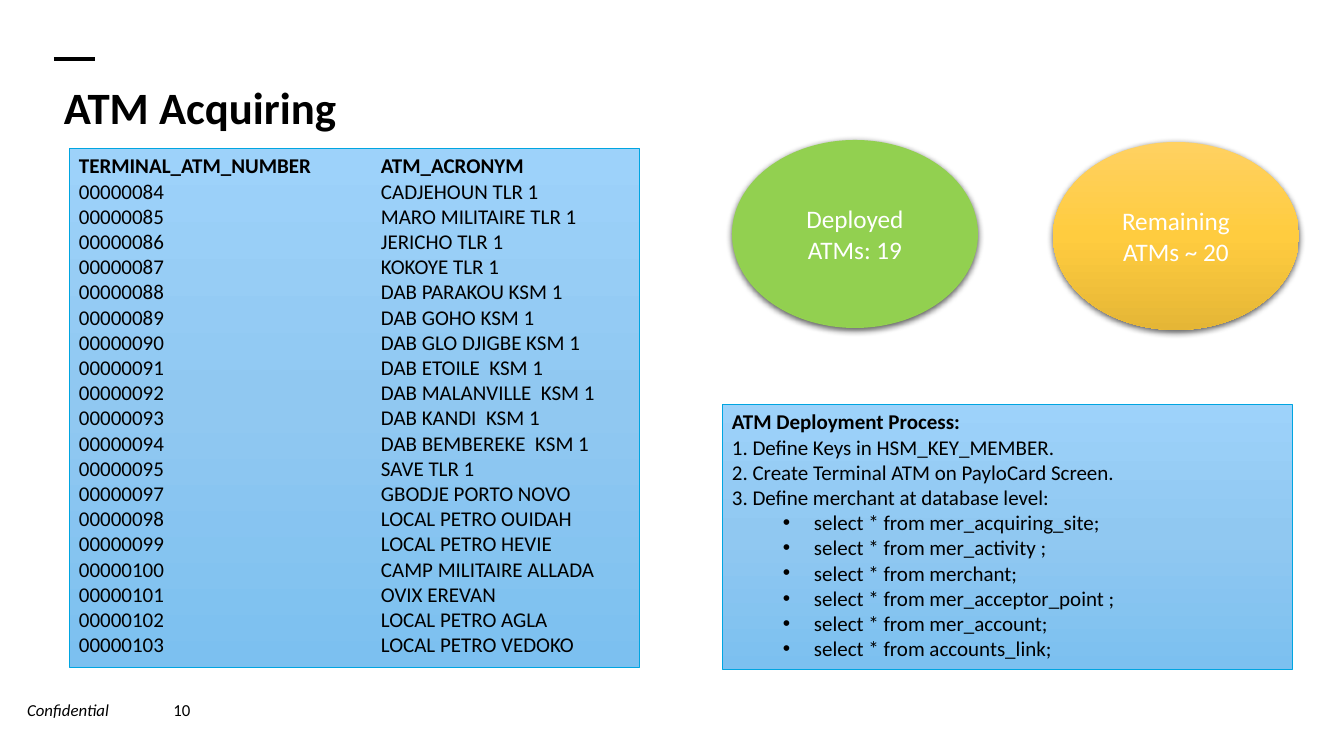
import copy

import lxml.etree
import pptx
import pptx.dml.color
import pptx.enum.shapes
import pptx.enum.text
import pptx.oxml
import pptx.oxml.ns
import pptx.util

RGBColor = pptx.dml.color.RGBColor
Shape = pptx.enum.shapes.MSO_SHAPE
Align = pptx.enum.text.PP_ALIGN
Anchor = pptx.enum.text.MSO_ANCHOR
qn = pptx.oxml.ns.qn

TITLE = "ATM Acquiring"
TERMINAL_HEADER = ("TERMINAL_ATM_NUMBER", "ATM_ACRONYM")
TERMINALS = [
    ("00000084", "CADJEHOUN TLR 1"),
    ("00000085", "MARO MILITAIRE TLR 1"),
    ("00000086", "JERICHO TLR 1"),
    ("00000087", "KOKOYE TLR 1"),
    ("00000088", "DAB PARAKOU KSM 1"),
    ("00000089", "DAB GOHO KSM 1"),
    ("00000090", "DAB GLO DJIGBE KSM 1"),
    ("00000091", "DAB ETOILE  KSM 1"),
    ("00000092", "DAB MALANVILLE  KSM 1"),
    ("00000093", "DAB KANDI  KSM 1"),
    ("00000094", "DAB BEMBEREKE  KSM 1"),
    ("00000095", "SAVE TLR 1"),
    ("00000097", "GBODJE PORTO NOVO"),
    ("00000098", "LOCAL PETRO OUIDAH"),
    ("00000099", "LOCAL PETRO HEVIE"),
    ("00000100", "CAMP MILITAIRE ALLADA"),
    ("00000101", "OVIX EREVAN"),
    ("00000102", "LOCAL PETRO AGLA"),
    ("00000103", "LOCAL PETRO VEDOKO"),
]
PROCESS_HEADER = "ATM Deployment Process:"
PROCESS_STEPS = [
    "1. Define Keys in HSM_KEY_MEMBER.",
    "2. Create Terminal ATM on PayloCard Screen.",
    "3. Define merchant at database level:",
]
QUERIES = [
    "select * from mer_acquiring_site;",
    "select * from mer_activity ;",
    "select * from merchant;",
    "select * from mer_acceptor_point ;",
    "select * from mer_account;",
    "select * from accounts_link;",
]

FONT = "Calibri"
BLACK = RGBColor(0x00, 0x00, 0x00)
WHITE = RGBColor(0xFF, 0xFF, 0xFF)
GREEN = RGBColor(0x92, 0xD0, 0x50)
PANEL_LINE = RGBColor(0x00, 0xA5, 0xE1)
BLUES = [RGBColor(0x9D, 0xD2, 0xFA), RGBColor(0x90, 0xC8, 0xF1), RGBColor(0x7C, 0xC0, 0xF0)]
GOLDS = [RGBColor(0xFF, 0xD1, 0x61), RGBColor(0xFF, 0xCC, 0x3F), RGBColor(0xE5, 0xB6, 0x36)]

# Boxes in px: left, top, width, height
TITLE_BOX = (54, 81, 1237, 67)
TERMINAL_BOX = (69, 148, 570, 519)
PROCESS_BOX = (722, 404, 570, 265)
FOOTERS = [("Confidential", (0, 690, 136, 40), True), ("10", (136, 690, 92, 40), False)]
COUNTERS = [
    ("Deployed ATMs: 19", (732, 140, 246, 188), [GREEN]),
    ("Remaining ATMs ~ 20", (1053, 142, 246, 188), GOLDS),
]
ACRONYM_TAB = 302
BULLET_MARGIN, BULLET_HANG = 82, 31

SHADOW = (
    '<a:effectLst xmlns:a="http://schemas.openxmlformats.org/drawingml/2006/main">'
    '<a:outerShdw blurRad="57150" dist="19050" dir="5400000" algn="ctr" rotWithShape="0">'
    '<a:srgbClr val="000000"><a:alpha val="63000"/></a:srgbClr>'
    "</a:outerShdw></a:effectLst>"
)


def px(length):
    return pptx.util.Emu(round(length * 914400 / 100.8))


def add_text(frame, text, size, color=BLACK, bold=False, italic=False, align=Align.LEFT):
    """Write text in the frame's empty first paragraph, or in a new one after it."""
    first = frame.paragraphs[0]
    paragraph = frame.add_paragraph() if first.runs else first
    paragraph.alignment = align
    run = paragraph.add_run()
    run.text = text
    font = run.font
    font.name, font.size = FONT, pptx.util.Pt(size)
    font.bold, font.italic, font.color.rgb = bold, italic, color
    return paragraph


def add_frame(slide, box, anchor):
    frame = slide.shapes.add_textbox(*map(px, box)).text_frame
    frame.word_wrap = True
    frame.vertical_anchor = anchor
    return frame


def paint(shape, colors):
    """Fill with one colour, or with a vertical gradient of evenly spaced colours."""
    fill = shape.fill
    if len(colors) == 1:
        fill.solid()
        fill.fore_color.rgb = colors[0]
        return
    fill.gradient()
    fill.gradient_angle = 270
    stop_list = next(shape.element.iter(qn("a:gsLst")))
    while len(stop_list) < len(colors):
        stop_list.append(copy.deepcopy(stop_list[0]))
    for index, (stop, color) in enumerate(zip(fill.gradient_stops, colors)):
        stop.color.rgb = color
        stop.position = index / (len(colors) - 1)


def add_panel(slide, box):
    panel = slide.shapes.add_shape(Shape.RECTANGLE, *map(px, box))
    panel.shadow.inherit = False
    paint(panel, BLUES)
    panel.line.color.rgb = PANEL_LINE
    panel.line.width = pptx.util.Pt(0.5)
    frame = panel.text_frame
    frame.word_wrap = True
    frame.vertical_anchor = Anchor.TOP
    return frame


def add_counter(slide, text, box, colors):
    ellipse = slide.shapes.add_shape(Shape.OVAL, *map(px, box))
    paint(ellipse, colors)
    ellipse.line.fill.background()
    ellipse.element.spPr.append(pptx.oxml.parse_xml(SHADOW))
    ellipse.text_frame.word_wrap = True
    ellipse.text_frame.vertical_anchor = Anchor.MIDDLE
    add_text(ellipse.text_frame, text, 18, WHITE, align=Align.CENTER)


def set_tab(paragraph, position):
    tabs = lxml.etree.SubElement(paragraph._p.get_or_add_pPr(), qn("a:tabLst"))
    lxml.etree.SubElement(tabs, qn("a:tab"), pos=str(px(position)), algn="l")


def set_bullet(paragraph):
    properties = paragraph._p.get_or_add_pPr()
    properties.set("marL", str(px(BULLET_MARGIN)))
    properties.set("indent", str(-px(BULLET_HANG)))
    lxml.etree.SubElement(properties, qn("a:buFont"), typeface="Arial")
    lxml.etree.SubElement(properties, qn("a:buChar"), char="•")


def main():
    presentation = pptx.Presentation()
    presentation.slide_width, presentation.slide_height = px(1344), px(756)
    slide = presentation.slides.add_slide(presentation.slide_layouts[6])

    accent = slide.shapes.add_connector(
        pptx.enum.shapes.MSO_CONNECTOR.STRAIGHT, px(54), px(59), px(95), px(59))
    accent.line.color.rgb = BLACK
    accent.line.width = pptx.util.Pt(2.75)
    lxml.etree.SubElement(accent._element.spPr, qn("a:effectLst"))

    for text, box, italic in FOOTERS:
        add_text(add_frame(slide, box, Anchor.MIDDLE), text, 12, italic=italic, align=Align.CENTER)

    title = add_text(add_frame(slide, TITLE_BOX, Anchor.TOP), TITLE, 32, bold=True)
    title.line_spacing = 0.9

    terminals = add_panel(slide, TERMINAL_BOX)
    for row in [TERMINAL_HEADER] + TERMINALS:
        paragraph = add_text(terminals, "\t".join(row), 15, bold=row is TERMINAL_HEADER)
        set_tab(paragraph, ACRONYM_TAB)

    process = add_panel(slide, PROCESS_BOX)
    add_text(process, PROCESS_HEADER, 15, bold=True)
    for step in PROCESS_STEPS:
        add_text(process, step, 15)
    for query in QUERIES:
        set_bullet(add_text(process, query, 15))

    for counter in COUNTERS:
        add_counter(slide, *counter)

    presentation.save("out.pptx")


if __name__ == "__main__":
    main()
